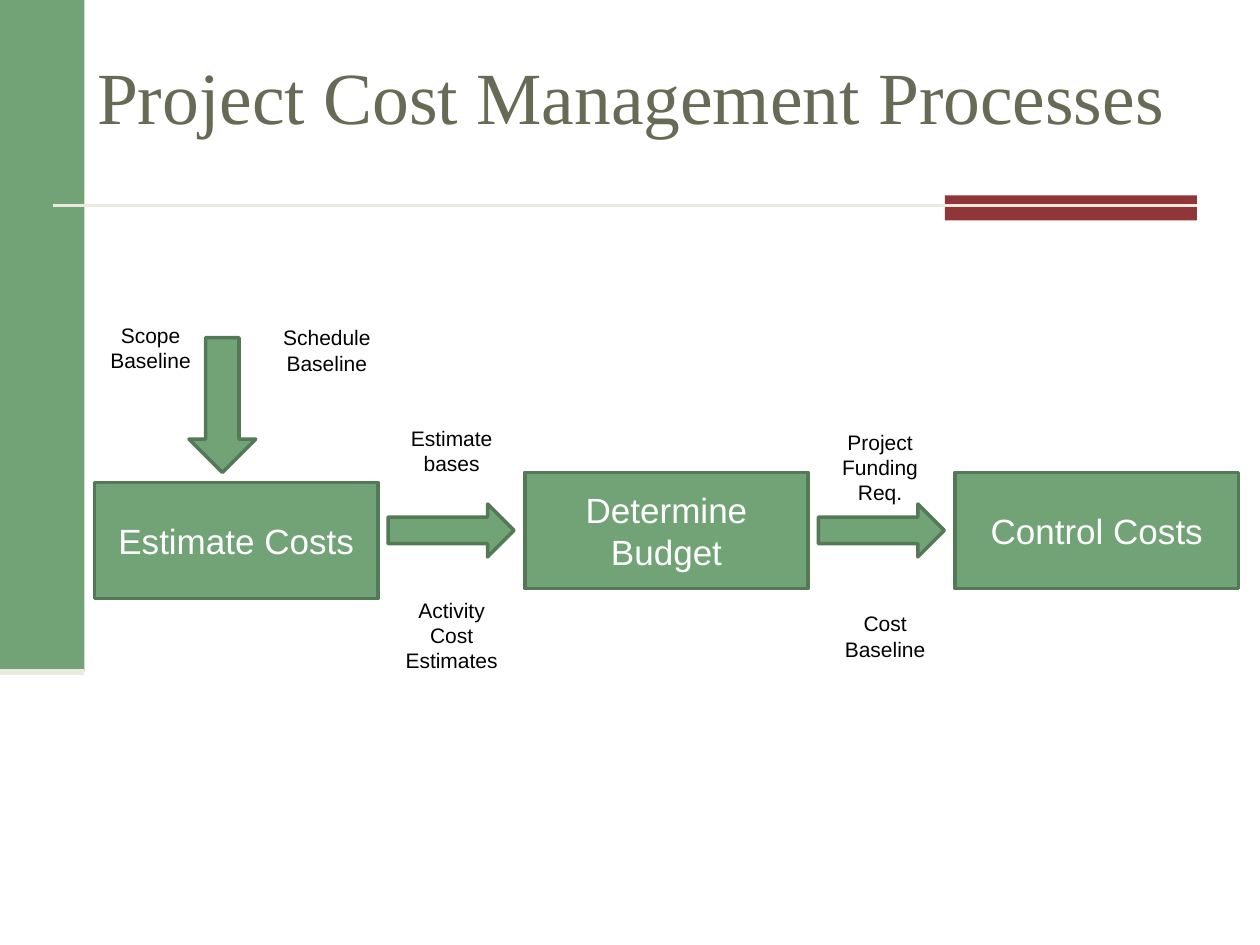
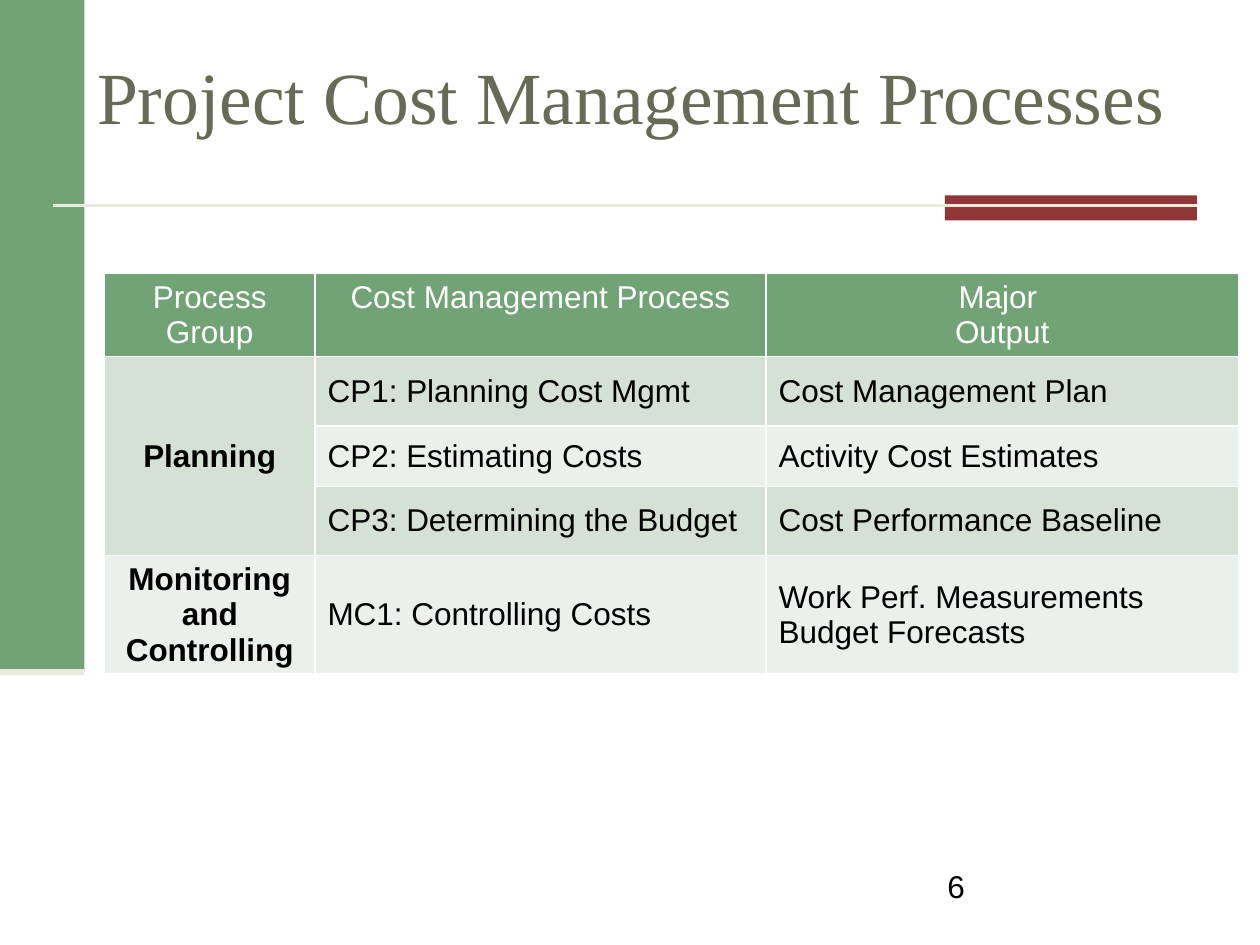
"""Build two slides on the project cost management processes."""
import pptx
import pptx.dml.color
import pptx.enum.shapes
import pptx.enum.text
import pptx.oxml
import pptx.util
from dataclasses import dataclass

Inches = pptx.util.Inches
Pt = pptx.util.Pt
SHAPES = pptx.enum.shapes.MSO_SHAPE
ALIGN = pptx.enum.text.PP_ALIGN
ANCHOR = pptx.enum.text.MSO_ANCHOR
AUTO_SIZE = pptx.enum.text.MSO_AUTO_SIZE


@dataclass(frozen=True)
class Theme:
    green: str = "72A376"
    dark_green: str = "547957"
    red: str = "903638"
    cream: str = "EAEBDE"
    olive: str = "676A55"
    white: str = "FFFFFF"
    black: str = "000000"
    band_dark: str = "D5E0D6"
    band_light: str = "EBF0EC"
    title_font: str = "Times New Roman"
    body_font: str = "Arial"
    title_size: float = 42
    process_size: float = 20
    table_size: float = 18
    label_size: float = 12
    outline: float = 2


THEME = Theme()

TITLE = "Project Cost Management Processes"
PAGE_NUMBER = "6"

PROCESSES = [("Estimate Costs", 3.83), ("Determine Budget", 3.75), ("Control Costs", 3.75)]
PROCESS_LEFT, PROCESS_PITCH = 0.75, 3.415
PROCESS_WIDTH, PROCESS_HEIGHT = 2.25, 0.92
ARROW_GAP, ARROW_TOP, ARROW_WIDTH, ARROW_HEIGHT = 0.08, 4, 1, 0.42
BASELINE_ARROW = (1.5, 2.68, 0.53, 1.07)

FLOW_LABELS = [
    ("Scope Baseline", (0.75, 2.51, 0.89, 0.5)),
    ("Schedule Baseline", (2.11, 2.53, 0.97, 0.5)),
    ("Estimate bases", (3.1, 3.33, 0.97, 0.5)),
    ("Activity Cost Estimates", (3.1, 4.69, 0.97, 0.71)),
    ("Cost Baseline", (6.54, 4.8, 0.97, 0.5)),
    ("Project Funding Req.", (6.5, 3.36, 0.97, 0.71)),
]

HEADINGS = ["Process Group", "Cost Management Process", "Major \nOutput"]
PROCESS_GROUPS = [
    ("Planning", [
        ("CP1: Planning Cost Mgmt", "Cost Management Plan"),
        ("CP2: Estimating Costs", "Activity Cost Estimates"),
        ("CP3: Determining the Budget", "Cost Performance Baseline"),
    ]),
    ("Monitoring and Controlling", [
        ("MC1: Controlling Costs", "Work Perf. Measurements\nBudget Forecasts"),
    ]),
]
TABLE_LEFT, TABLE_TOP = 0.83, 2.17
COLUMN_WIDTHS = [1.67, 3.58, 3.75]
ROW_HEIGHTS = [0.65, 0.55, 0.48, 0.55, 0.94]


def rgb(value):
    return pptx.dml.color.RGBColor.from_string(value)


def write(frame, text, size=THEME.table_size, color=THEME.black, font=THEME.body_font,
          bold=False, align=ALIGN.LEFT):
    """Fill a text frame, one paragraph per line of text."""
    frame.text = text
    for paragraph in frame.paragraphs:
        paragraph.alignment = align
        for run in paragraph.runs:
            run.font.name = font
            run.font.size = Pt(size)
            run.font.bold = bold
            run.font.color.rgb = rgb(color)


def add_block(slide, kind, place, fill, outline=None):
    """Add a flat preset shape, outlined if a colour is given."""
    block = slide.shapes.add_shape(kind, *map(Inches, place))
    block.shadow.inherit = False
    block.fill.solid()
    block.fill.fore_color.rgb = rgb(fill)
    if outline:
        block.line.color.rgb = rgb(outline)
        block.line.width = Pt(THEME.outline)
    else:
        block.line.fill.background()
    return block


def add_rule(slide, left, right, y, width):
    """Add a horizontal cream line."""
    rule = slide.shapes.add_connector(
        pptx.enum.shapes.MSO_CONNECTOR.STRAIGHT, *map(Inches, (left, y, right, y)))
    rule.line.color.rgb = rgb(THEME.cream)
    rule.line.width = Pt(width)
    properties = rule._element.spPr
    properties.append(pptx.oxml.parse_xml(
        '<a:effectLst xmlns:a="http://schemas.openxmlformats.org/drawingml/2006/main"/>'))


def add_text(slide, text, place, auto_size=AUTO_SIZE.NONE, **text_format):
    """Add a wrapping text box."""
    frame = slide.shapes.add_textbox(*map(Inches, place)).text_frame
    frame.word_wrap = True
    frame.auto_size = auto_size
    write(frame, text, **text_format)


def add_titled_slide(deck):
    """Add a slide with the shared bands, rules and title."""
    slide = deck.slides.add_slide(deck.slide_layouts[5])
    add_block(slide, SHAPES.RECTANGLE, (0, 0, 0.67, 5.33), THEME.green)
    add_block(slide, SHAPES.RECTANGLE, (7.5, 1.55, 2, 0.2), THEME.red)
    add_rule(slide, 0.42, 9.5, 1.63, 1.5)
    add_rule(slide, 0, 0.67, 5.33, 3.5)
    title = slide.shapes.title
    title.left, title.top, title.width, title.height = map(Inches, (0.67, 0.17, 9.75, 1.17))
    title.text_frame.auto_size = AUTO_SIZE.NONE
    title.text_frame.vertical_anchor = ANCHOR.MIDDLE
    write(title.text_frame, TITLE, size=THEME.title_size, color=THEME.olive,
          font=THEME.title_font)
    return slide


def build_flow(deck):
    """Draw the three processes, their arrows and labels."""
    slide = add_titled_slide(deck)
    add_block(slide, SHAPES.DOWN_ARROW, BASELINE_ARROW, THEME.green, THEME.dark_green)
    for index, (process, top) in enumerate(PROCESSES):
        left = PROCESS_LEFT + index * PROCESS_PITCH
        box = add_block(slide, SHAPES.RECTANGLE, (left, top, PROCESS_WIDTH, PROCESS_HEIGHT),
                        THEME.green, THEME.dark_green)
        box.text_frame.vertical_anchor = ANCHOR.MIDDLE
        write(box.text_frame, process, size=THEME.process_size, color=THEME.white,
              align=ALIGN.CENTER)
        if index < len(PROCESSES) - 1:
            arrow_left = left + PROCESS_WIDTH + ARROW_GAP
            add_block(slide, SHAPES.RIGHT_ARROW,
                      (arrow_left, ARROW_TOP, ARROW_WIDTH, ARROW_HEIGHT),
                      THEME.green, THEME.dark_green)
    for label, place in FLOW_LABELS:
        add_text(slide, label, place, auto_size=AUTO_SIZE.SHAPE_TO_FIT_TEXT,
                 size=THEME.label_size, align=ALIGN.CENTER)


def fill_cell(cell, text, fill, anchor=ANCHOR.MIDDLE, **text_format):
    """Set a cell's fill, anchor and text."""
    cell.fill.solid()
    cell.fill.fore_color.rgb = rgb(fill)
    cell.vertical_anchor = anchor
    write(cell.text_frame, text, **text_format)


def build_outputs(deck):
    """Tabulate each process group with its processes and outputs."""
    slide = add_titled_slide(deck)
    outputs = slide.shapes.add_table(
        len(ROW_HEIGHTS), len(COLUMN_WIDTHS), Inches(TABLE_LEFT), Inches(TABLE_TOP),
        Inches(sum(COLUMN_WIDTHS)), Inches(sum(ROW_HEIGHTS))).table
    for column, width in zip(outputs.columns, COLUMN_WIDTHS):
        column.width = Inches(width)
    for row, height in zip(outputs.rows, ROW_HEIGHTS):
        row.height = Inches(height)
    for column, heading in enumerate(HEADINGS):
        fill_cell(outputs.cell(0, column), heading, THEME.green, anchor=ANCHOR.TOP,
                  color=THEME.white, align=ALIGN.CENTER)
    bands = [THEME.band_light, THEME.band_dark]
    row = 1
    for group, processes in PROCESS_GROUPS:
        group_cell = outputs.cell(row, 0)
        if len(processes) > 1:
            group_cell.merge(outputs.cell(row + len(processes) - 1, 0))
        fill_cell(group_cell, group, bands[row % 2], bold=True, align=ALIGN.CENTER)
        for process in processes:
            for column, text in enumerate(process, start=1):
                fill_cell(outputs.cell(row, column), text, bands[row % 2])
            row += 1
    add_text(slide, PAGE_NUMBER, (7.42, 6.83, 2.08, 0.5))


def main():
    deck = pptx.Presentation()
    deck.slide_width, deck.slide_height = Inches(10), Inches(7.5)
    build_flow(deck)
    build_outputs(deck)
    deck.save("out.pptx")


if __name__ == "__main__":
    main()
